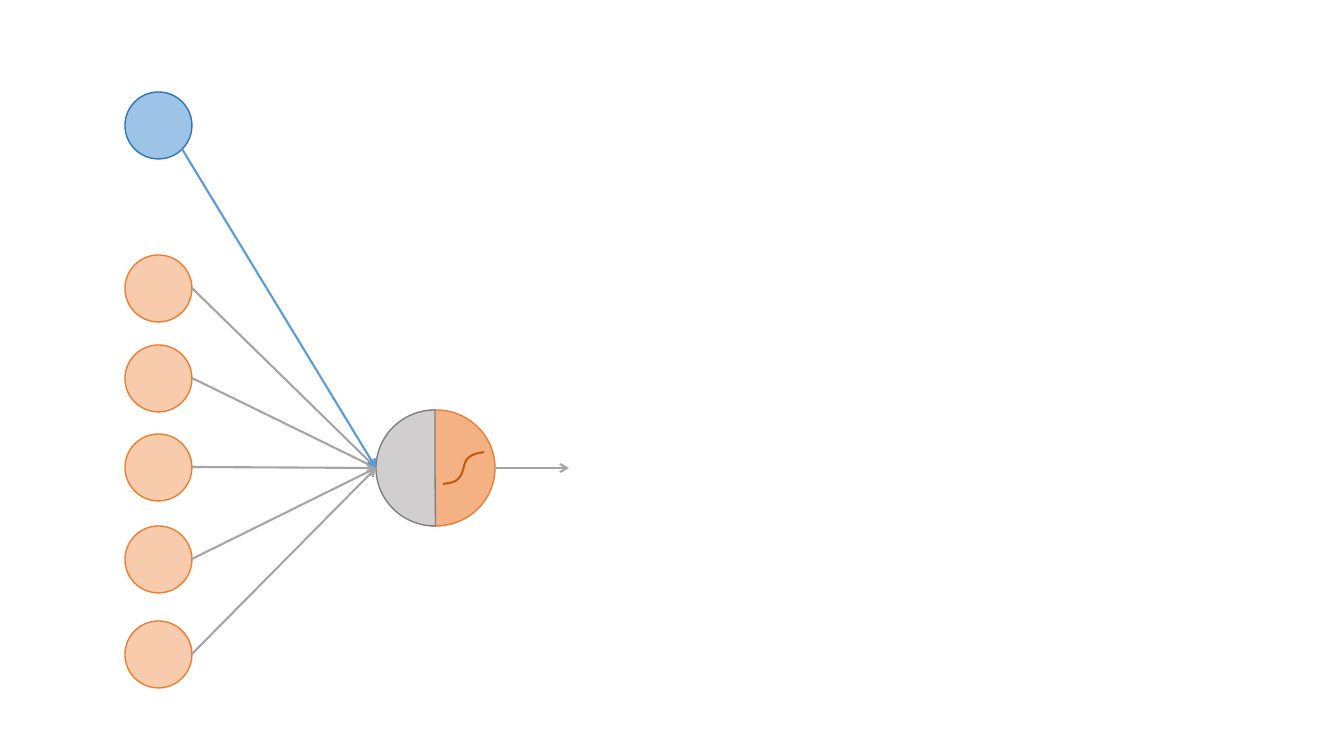
from pptx import Presentation
from pptx import util as u
from pptx.dml.color import RGBColor
from pptx.enum import shapes
from pptx.oxml import ns
from lxml import etree

PX = 914400 / 100.8
SHAPE = shapes.MSO_SHAPE


def px(n):
    return u.Emu(round(n * PX))


def style(shape, line, width=1, fill=None):
    """Set the outline, and the fill of a closed shape."""
    shape.line.color.rgb = RGBColor.from_string(line)
    shape.line.width = u.Pt(width)
    if fill:
        shape.shadow.inherit = False
        shape.fill.solid()
        shape.fill.fore_color.rgb = RGBColor.from_string(fill)


prs = Presentation()
prs.slide_width, prs.slide_height = px(1344), px(756)
s = prs.slides.add_slide(prs.slide_layouts[6])

# Input nodes and bias node
NODE, NODE_LEFT = 67, 125
input_tops = [255, 345, 434, 526, 621]
nodes = [(top, "F8CBAD", "ED7D31") for top in input_tops]
nodes.append((92, "9DC3E6", "2E75B6"))
for top, fill, line in nodes:
    node = s.shapes.add_shape(SHAPE.OVAL, px(NODE_LEFT), px(top), px(NODE), px(NODE))
    style(node, line, fill=fill)

# Neuron: activation circle with the summing half over it
neuron_parts = [
    (SHAPE.OVAL, 377, "F4B183", "ED7D31"),
    (SHAPE.PIE, 376, "D0CECE", "808080"),
]
for kind, left, fill, line in neuron_parts:
    half = s.shapes.add_shape(kind, px(left), px(410), px(118), px(116))
    style(half, line, fill=fill)
half.adjustments[0], half.adjustments[1] = 53.67, 162

# Arrows: inputs, bias and output
MID = 468
arrows = [(192, top + 33, 376, MID, "A5A5A5") for top in input_tops]
arrows += [(182, 149, 376, MID, "5B9BD5"), (494, MID, 569, MID, "A5A5A5")]
for x1, y1, x2, y2, color in arrows:
    arrow = s.shapes.add_connector(
        shapes.MSO_CONNECTOR.STRAIGHT, px(x1), px(y1), px(x2), px(y2))
    style(arrow, color, 1.5)
    etree.SubElement(arrow.line._get_or_add_ln(), ns.qn("a:tailEnd"), type="arrow")
    etree.SubElement(arrow._element.spPr, ns.qn("a:effectLst"))

# Sigmoid: every three points become one Bezier segment
sigmoid = [(446, 483), (454, 484), (459, 478), (464, 473), (463, 463), (468, 458),
           (473, 453), (481, 453), (484, 452)]
builder = s.shapes.build_freeform(443, 484, scale=PX)
builder.add_line_segments(sigmoid, close=False)
curve = builder.convert_to_shape()
curve.shadow.inherit = False
curve.fill.background()
style(curve, "C55A11", 1.5)
path = curve._element.find(".//" + ns.qn("a:path"))
segments = path.findall(ns.qn("a:lnTo"))
for i in range(0, len(segments), 3):
    bezier = etree.SubElement(path, ns.qn("a:cubicBezTo"))
    for segment in segments[i:i + 3]:
        bezier.append(segment[0])
        path.remove(segment)

prs.save("out.pptx")
